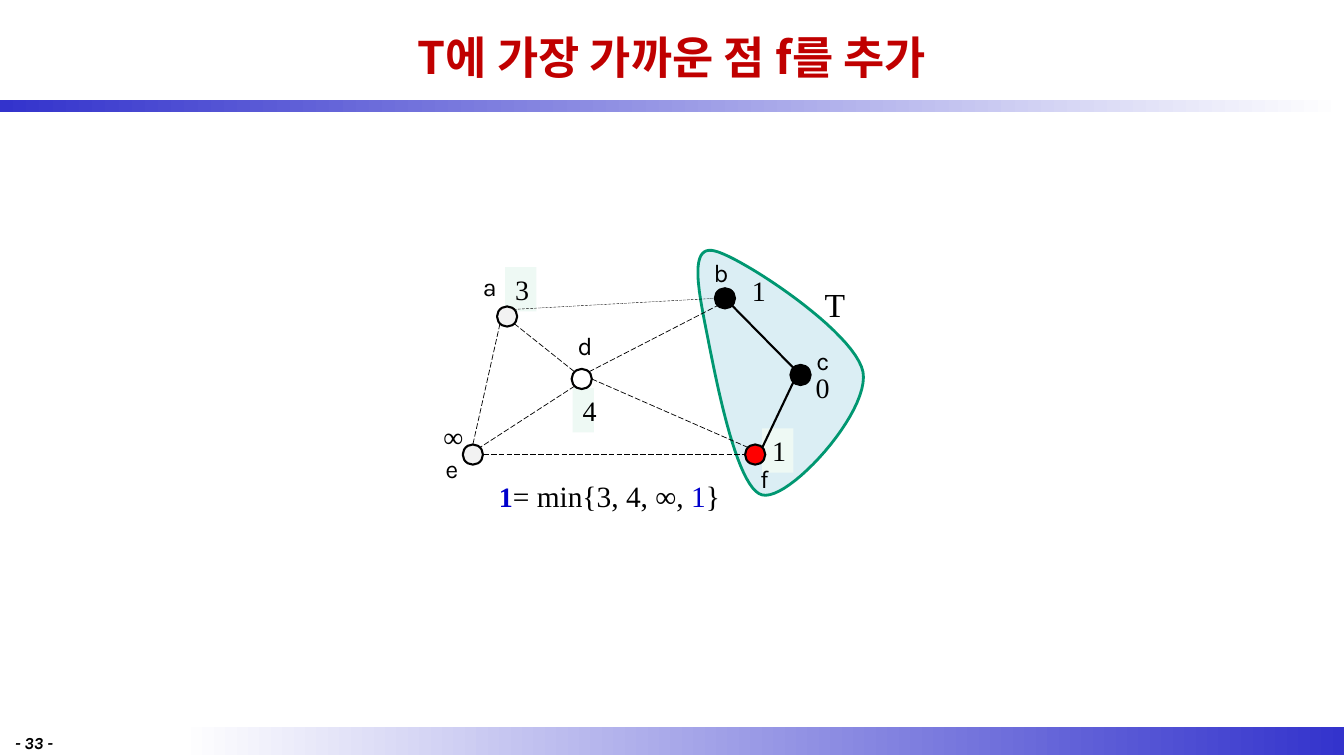
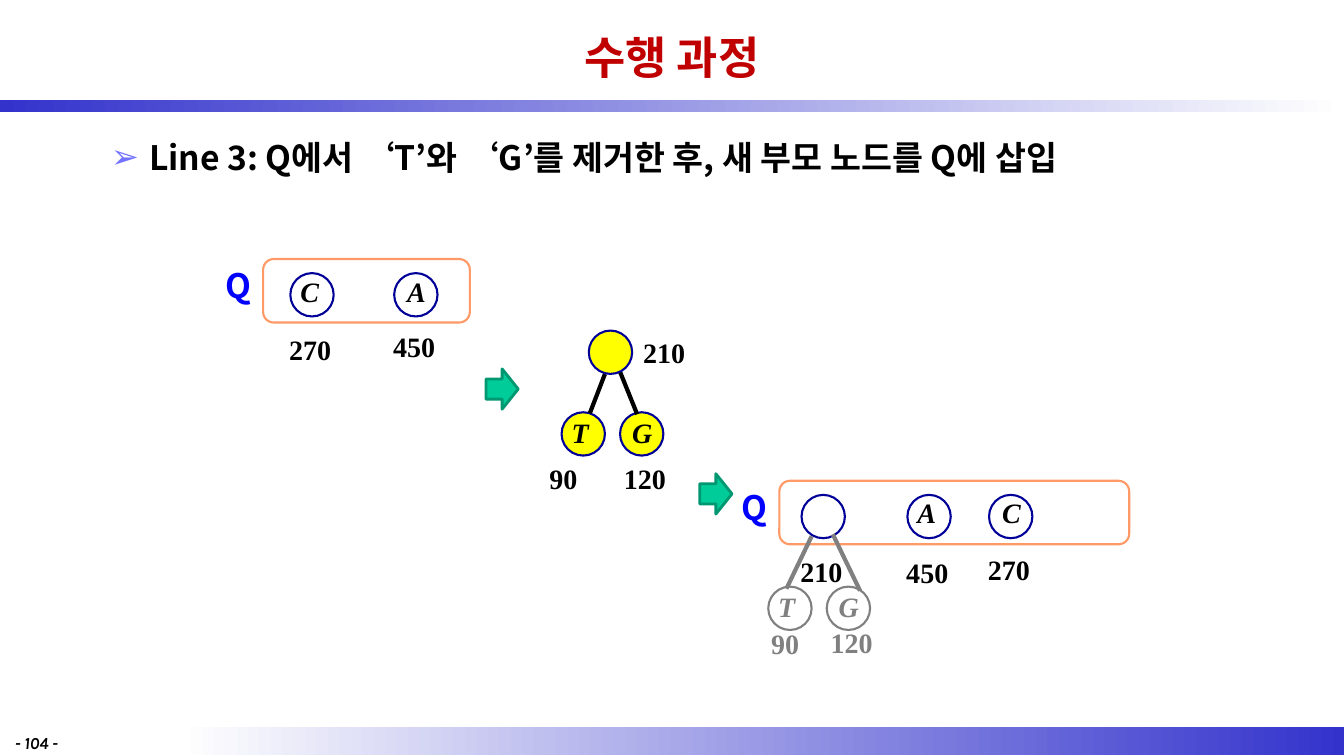
from math import cos, radians, sin

from lxml import etree
from pptx import Presentation
from pptx.dml.color import RGBColor
from pptx.enum.dml import MSO_LINE
from pptx.enum.shapes import MSO_CONNECTOR, MSO_SHAPE
from pptx.enum.text import MSO_ANCHOR, PP_ALIGN
from pptx.oxml.ns import qn
from pptx.util import Inches, Pt

RECT, OVAL = MSO_SHAPE.RECTANGLE, MSO_SHAPE.OVAL
ROUNDED, ARROW = MSO_SHAPE.ROUNDED_RECTANGLE, MSO_SHAPE.RIGHT_ARROW
STRAIGHT, DASHED = MSO_CONNECTOR.STRAIGHT, MSO_LINE.LONG_DASH

BLACK, WHITE = RGBColor(0, 0, 0), RGBColor(255, 255, 255)
BAND_BLUE = RGBColor(0x33, 0x33, 0xCC)
TITLE_RED = RGBColor(0xC0, 0, 0)
BULLET_BLUE = RGBColor(0x73, 0x73, 0xFF)
REGION_FILL = RGBColor(0xDB, 0xEE, 0xF4)
GREEN_LINE = RGBColor(0, 0x97, 0x71)
ARROW_GREEN = RGBColor(0, 0xCC, 0x99)
DISTANCE_FILL = RGBColor(0xEE, 0xF9, 0xF4)
VERTEX_GRAY = RGBColor(0xF2, 0xF2, 0xF2)
VERTEX_RED = RGBColor(0xFF, 0, 0)
MIN_BLUE = RGBColor(0, 0, 0xCC)
NODE_NAVY = RGBColor(0, 0, 0x99)
NODE_YELLOW = RGBColor(0xFF, 0xFF, 0)
QUEUE_ORANGE = RGBColor(0xFF, 0x99, 0x66)
QUEUE_BLUE = RGBColor(0, 0, 0xFF)
FADED = RGBColor(0x80, 0x80, 0x80)

KOREAN, SANS, SERIF = "Noto Sans CJK KR", "Karla", "Times New Roman"
VERTEX_RADIUS = 0.1
NODE_SIZE = 0.43
# Angles of the points where edges meet a vertex
SITES = {"E": 0, "SE": 45, "S": 90, "SW": 135, "W": 180, "NW": 225, "N": 270, "NE": 315}


def inches(*values):
    return [Inches(value) for value in values]


def style(paragraph, size, font=SERIF, color=BLACK, bold=False, italic=False):
    paragraph.font.size = Pt(size)
    paragraph.font.name = font
    paragraph.font.color.rgb = color
    paragraph.font.bold = bold
    paragraph.font.italic = italic
    if font == KOREAN:
        defaults = paragraph._p.get_or_add_pPr().find(qn("a:defRPr"))
        etree.SubElement(defaults, qn("a:ea")).set("typeface", KOREAN)


def paint(shape, fill=None, line=None, width=1.5):
    shape.shadow.inherit = False
    if fill is None:
        shape.fill.background()
    else:
        shape.fill.solid()
        shape.fill.fore_color.rgb = fill
    if line is None:
        shape.line.fill.background()
    else:
        shape.line.color.rgb = line
        shape.line.width = Pt(width)


def add_shape(slide, kind, box, fill=None, line=None, width=1.5):
    shape = slide.shapes.add_shape(kind, *inches(*box))
    paint(shape, fill, line, width)
    return shape


def add_label(slide, text, left, top, size=20, width=0.7, height=0.44, fill=None, **look):
    """Left-aligned text, on a tinted rectangle if a fill is given."""
    box = (left, top, width, height)
    if fill is None:
        label = slide.shapes.add_textbox(*inches(*box))
    else:
        label = add_shape(slide, RECT, box, fill)
    frame = label.text_frame
    frame.word_wrap = True
    frame.margin_right = 0
    frame.vertical_anchor = MSO_ANCHOR.TOP
    paragraph = frame.paragraphs[0]
    paragraph.text = text
    paragraph.alignment = PP_ALIGN.LEFT
    style(paragraph, size, **look)
    return paragraph


def add_edge(slide, start, end, color=BLACK, width=0.5, dash=None):
    edge = slide.shapes.add_connector(STRAIGHT, *inches(*start, *end))
    edge.line.color.rgb = color
    edge.line.width = Pt(width)
    if dash is not None:
        edge.line.dash_style = dash
    etree.SubElement(edge._element.spPr, qn("a:effectLst"))


# Shared frame of the slides
def set_up_master(prs, slide):
    """Place the title, the body and both gradient bands on the master."""
    master = prs.slide_master
    boxes = ((1, 0.05, 11.33, 1.03), (1, 1.23, 11.33, 5.98))
    for holder, box in zip(list(master.placeholders)[:2], boxes):
        holder.left, holder.top, holder.width, holder.height = inches(*box)
    bands = (((1.78, 7.21, 11.55, 0.28), (WHITE, BAND_BLUE)),
             ((0, 0.99, 13.33, 0.12), (BAND_BLUE, WHITE)))
    for number, (box, colors) in enumerate(bands):
        band = add_shape(slide, RECT, box)
        band.fill.gradient()
        band.fill.gradient_angle = 0
        for stop, color in zip(band.fill.gradient_stops, colors):
            stop.color.rgb = color
        band.element.nvSpPr.cNvPr.set("id", str(100 + number))
        master.shapes.element.insert(2 + number, band.element)


def add_frame(slide, title, page):
    heading = slide.shapes.title.text_frame.paragraphs[0]
    heading.text = title
    heading.alignment = PP_ALIGN.CENTER
    style(heading, 32, KOREAN, TITLE_RED, bold=True)
    add_label(slide, f"- {page} -", 0.05, 7.22, 12, 0.95, 0.24,
              font=SANS, bold=True, italic=True)


def add_step(slide, text):
    step = slide.placeholders[1].text_frame.paragraphs[0]
    step.text = text
    step.line_spacing = 1.2
    step.space_before = Pt(0)
    step.space_after = Pt(6)
    properties = step._p.get_or_add_pPr()
    properties.set("marL", str(Inches(0.38)))
    properties.set("indent", str(-Inches(0.38)))
    bullet_color = etree.SubElement(properties, qn("a:buClr"))
    etree.SubElement(bullet_color, qn("a:srgbClr")).set("val", str(BULLET_BLUE))
    etree.SubElement(properties, qn("a:buChar")).set("char", "➢")
    style(step, 24, KOREAN, bold=True)


# Spanning tree graph
def add_tree_region(slide, left, top):
    """Closed outline around the tree T, sampled from Bezier curves."""
    start = (3.26, 2.51)
    curves = (((3.0, 2.45), (2.79, 1.3), (2.71, 0.9)),
              ((2.63, 0.49), (2.53, 0.02), (2.79, 0.09)),
              ((3.05, 0.15), (4.18, 0.89), (4.26, 1.29)),
              ((4.33, 1.69), (3.52, 2.58), start))
    steps = 24
    points = [start]
    for curve in curves:
        corners = (points[-1], *curve)
        for step in range(1, steps + 1):
            t = step / steps
            weights = ((1 - t) ** 3, 3 * t * (1 - t) ** 2, 3 * t * t * (1 - t), t ** 3)
            points.append(tuple(sum(w * corner[axis] for w, corner in zip(weights, corners))
                                for axis in (0, 1)))
    outline = [inches(left + x, top + y) for x, y in points]
    builder = slide.shapes.build_freeform(*outline[0])
    builder.add_line_segments(outline[1:], close=True)
    paint(builder.convert_to_shape(), REGION_FILL, GREEN_LINE, 2)


def add_graph(slide, left, top):
    # Vertex: centre, fill, place of its name
    vertices = {
        "a": ((0.73, 0.74), VERTEX_GRAY, (0.39, 0.24)),
        "b": ((2.89, 0.56), BLACK, (2.68, 0.1)),
        "c": ((3.64, 1.32), BLACK, (3.7, 0.98)),
        "d": ((1.47, 1.36), WHITE, (1.33, 0.83)),
        "e": ((0.39, 2.11), VERTEX_GRAY, (0.02, 2.05)),
        "f": ((3.19, 2.11), VERTEX_RED, (3.14, 2.15)),
    }
    # Distance: text, place, width, fill
    distances = (("3", 0.71, 0.25, 0.31, DISTANCE_FILL),
                 ("1", 3.26, 1.85, 0.31, DISTANCE_FILL),
                 ("4", 1.38, 1.45, 0.21, DISTANCE_FILL),
                 ("1", 3.06, 0.26, 0.31, None),
                 ("0", 3.69, 1.23, 0.31, None),
                 ("∞", 0, 1.71, 0.31, None))
    open_edges = (("d", "SW", "e", "NE", 0.5), ("a", "SW", "e", "N", 0.5),
                  ("d", "E", "f", "NW", 0.5), ("e", "E", "f", "W", 0.5),
                  ("a", "NE", "b", "W", 0.25), ("d", "NE", "b", "SW", 0.5),
                  ("a", "SE", "d", "NW", 0.5))
    tree_edges = (("c", "NW", "b", "SE", 1.5), ("f", "NE", "c", "SW", 1.5))

    def site(vertex, direction):
        (x, y), angle = vertices[vertex][0], radians(SITES[direction])
        return (left + x + VERTEX_RADIUS * cos(angle), top + y + VERTEX_RADIUS * sin(angle))

    add_tree_region(slide, left, top)
    for text, x, y, width, fill in distances:
        add_label(slide, text, left + x, top + y, width=width, fill=fill)
    for edges, dash in ((open_edges, DASHED), (tree_edges, None)):
        for tail, tail_site, head, head_site, width in edges:
            add_edge(slide, site(tail, tail_site), site(head, head_site),
                     width=width, dash=dash)
    for name, ((x, y), fill, (name_x, name_y)) in vertices.items():
        add_shape(slide, OVAL, (left + x - VERTEX_RADIUS, top + y - VERTEX_RADIUS,
                                2 * VERTEX_RADIUS, 2 * VERTEX_RADIUS), fill, BLACK)
        add_label(slide, name, left + name_x, top + name_y, 18, 0.34, 0.4, font=SANS)
    add_label(slide, "T", left + 3.78, top + 0.37, 24, 0.55, 0.5)


def add_minimum(slide, left, top):
    minimum = add_label(slide, "", left, top, 21, 2.5, 0.45)
    for text, color in (("1", MIN_BLUE), ("= min{3, 4, ∞, ", BLACK),
                        ("1", MIN_BLUE), ("}", BLACK)):
        run = minimum.add_run()
        run.text = text
        run.font.color.rgb = color
    minimum.runs[0].font.bold = True
    minimum.runs[0].font.size = Pt(20)


# Priority queue and its trees
def add_node(slide, letter, left, top, fill=None, line=NODE_NAVY, color=BLACK, nudge=(0, -0.03)):
    add_shape(slide, OVAL, (left, top, NODE_SIZE, NODE_SIZE), fill, line)
    if letter:
        add_label(slide, letter, left + nudge[0], top + nudge[1], width=0.39,
                  color=color, bold=True, italic=True)


def add_queue(slide, left, top, width, nodes):
    add_label(slide, "Q", left - 0.47, top + 0.01, 24, 0.32, 0.5,
              font=KOREAN, color=QUEUE_BLUE, bold=True)
    add_shape(slide, ROUNDED, (left, top, width, 0.63), line=QUEUE_ORANGE)
    for letter, weight, x, letter_shift, weight_y in nodes:
        add_node(slide, letter, left + x, top + 0.14, nudge=(letter_shift, -0.04))
        add_label(slide, weight, left + x - 0.11, top + weight_y, bold=True)


def add_leaves(slide, left, top, weight_places, edges, fill=None, line=NODE_NAVY, color=BLACK):
    """Leaves T and G with their weights and the edges up to their parent."""
    leaves = (("T", "90", 0, 0), ("G", "120", 0.58, 0.02))
    for (letter, weight, x, shift), (weight_x, weight_y) in zip(leaves, weight_places):
        add_node(slide, letter, left + x, top, fill, line, color, (shift, -0.02))
        add_label(slide, weight, left + weight_x, top + weight_y, color=color, bold=True)
    for x1, y1, x2, y2 in edges:
        add_edge(slide, (left + x1, top + y1), (left + x2, top + y2), color, 3)


def add_merged_tree(slide, left, top):
    add_leaves(slide, left, top + 0.81, ((-0.22, 0.44), (0.52, 0.44)),
               ((0.43, -0.38, 0.28, 0.01), (0.58, -0.4, 0.75, 0.02)), NODE_YELLOW)
    add_node(slide, "", left + 0.27, top, NODE_YELLOW)
    add_label(slide, "210", left + 0.71, top, bold=True)


def main():
    prs = Presentation()
    prs.slide_width, prs.slide_height = inches(13.33, 7.5)

    # Vertex f joins the tree
    nearest = prs.slides.add_slide(prs.slide_layouts[5])
    set_up_master(prs, nearest)
    add_frame(nearest, "T에 가장 가까운 점 f를 추가", 33)
    add_graph(nearest, 4.3, 2.4)
    add_minimum(nearest, 4.85, 4.69)

    # Two nodes leave the queue and their parent enters
    merging = prs.slides.add_slide(prs.slide_layouts[1])
    add_frame(merging, "수행 과정", 104)
    add_step(merging, "Line 3: Q에서 ‘T’와 ‘G’를 제거한 후, 새 부모 노드를 Q에 삽입")
    add_queue(merging, 2.61, 2.57, 2.05,
              (("C", "270", 0.27, 0, 0.68), ("A", "450", 1.3, 0.03, 0.65)))
    add_merged_tree(merging, 5.57, 3.28)
    add_queue(merging, 7.73, 4.77, 3.47,
              (("", "210", 0.22, 0, 0.68), ("A", "450", 1.27, 0, 0.69),
               ("C", "270", 2.08, 0.03, 0.66)))
    add_leaves(merging, 7.62, 5.82, ((-0.07, 0.35), (0.52, 0.34)),
               ((0.43, -0.5, 0.18, 0.02), (0.64, -0.52, 0.91, 0.04)), line=FADED, color=FADED)
    for left, top in ((4.82, 3.66), (6.94, 4.7)):
        add_shape(merging, ARROW, (left, top, 0.32, 0.4), ARROW_GREEN, GREEN_LINE, 2)

    prs.save("out.pptx")


if __name__ == "__main__":
    main()
